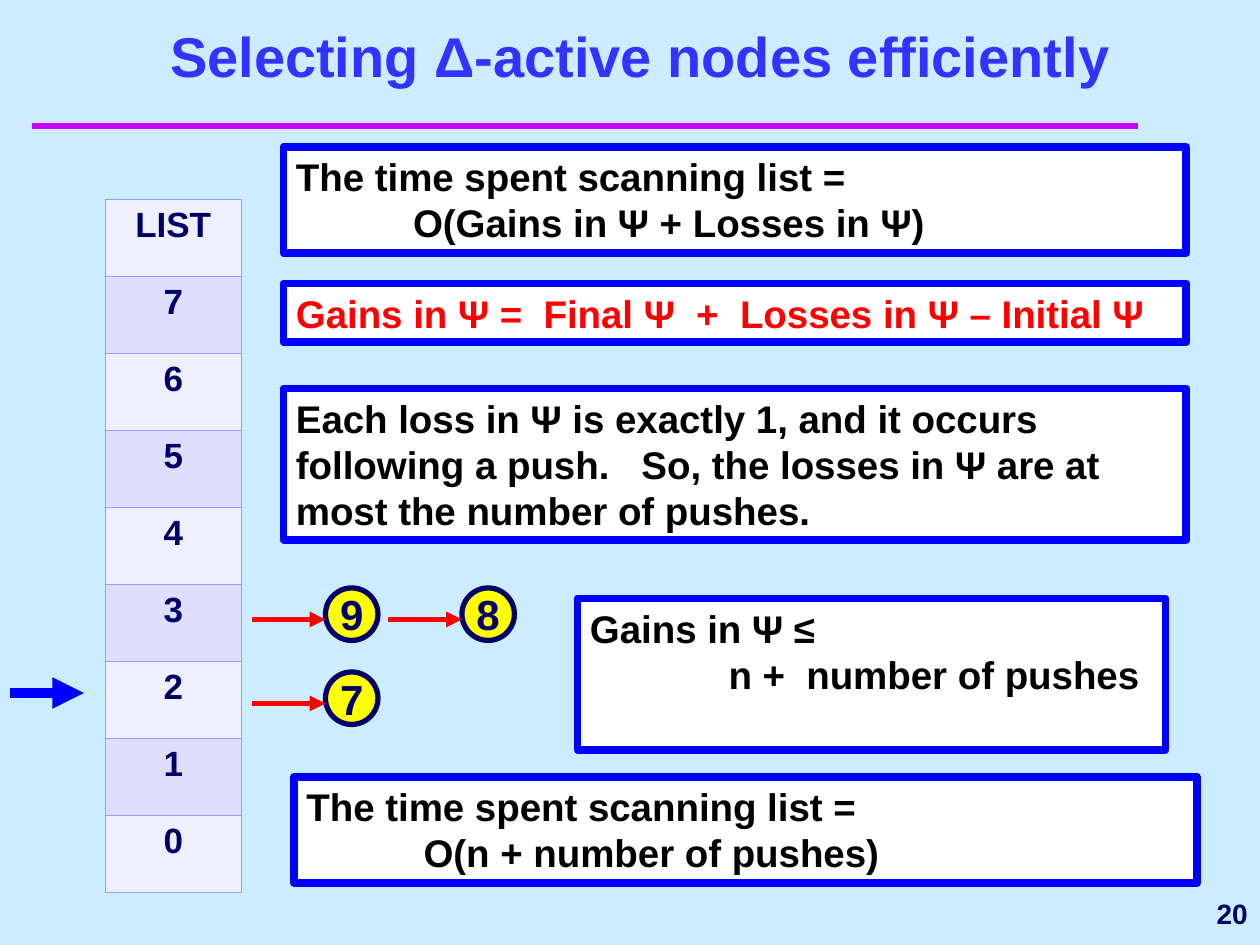
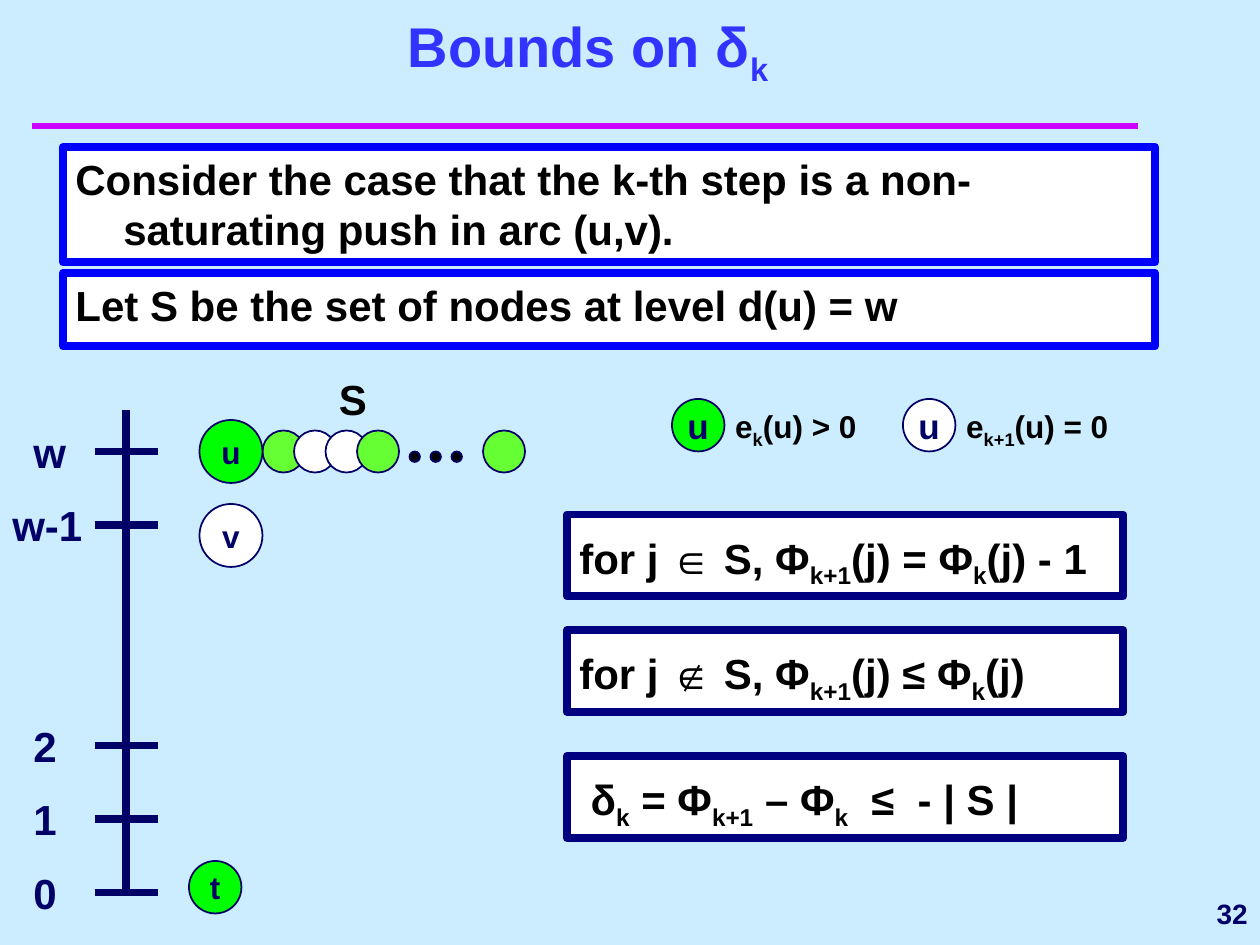
from dataclasses import dataclass
from lxml.etree import SubElement as Sub
from pptx import Presentation
from pptx.dml.color import RGBColor as Rgb
from pptx.enum.shapes import MSO_CONNECTOR as Conn, MSO_SHAPE as Kind
from pptx.enum.text import MSO_ANCHOR as Anchor, PP_ALIGN as Align
from pptx.oxml.ns import qn
from pptx.util import Inches, Pt


@dataclass(frozen=True)
class Theme:
    font: str = "Arial"
    back: str = "CCECFF"
    title: str = "3333FF"
    rule: str = "CC00FF"
    navy: str = "000066"
    deep: str = "000080"
    blue: str = "0000FF"
    red: str = "FF0000"
    black: str = "000000"
    white: str = "FFFFFF"
    yellow: str = "FFFF00"
    green: str = "00FF00"
    lime: str = "66FF33"
    edge: str = "9999FF"
    bands: tuple = ("EFEFFF", "DEDEFF")
    head: int = 32
    big: int = 24
    body: int = 22
    mid: int = 20
    small: int = 18
    foot: int = 16
    frame: float = 4.5


T = Theme()
WIDE, HIGH = 10, 7.5
COLS, ROWS = 120, 90  # square grid cells


def grid(*cells):
    return [Inches(cell * WIDE / COLS) for cell in cells]


def write(frame, text, size=T.big, color=T.black, align=Align.LEFT,
          anchor=Anchor.TOP, wrap=True, pad=0.1, left=0, hang=0, dent=0,
          lead=None, after=0):
    """Fill a text frame; text between underscores is subscript.

    left indents all lines, hang the wrapped ones, dent later paragraphs.
    """
    frame.word_wrap, frame.vertical_anchor = wrap, anchor
    frame.margin_left = frame.margin_right = Inches(pad)
    frame.margin_top = frame.margin_bottom = Inches(pad / 2)
    for i, line in enumerate(text.split("\n")):
        para = frame.add_paragraph() if i else frame.paragraphs[0]
        para.alignment, para.space_after = align, Pt(after)
        para.space_before = Pt(0)
        if lead:
            para.line_spacing = lead
        props = para._p.get_or_add_pPr()
        props.set("marL", str(Inches(left + hang + (dent if i else 0))))
        props.set("indent", str(Inches(-hang)))
        for j, part in enumerate(line.split("_")):
            run = para.add_run()
            run.text = part
            font = run.font
            font.name, font.size, font.bold = T.font, Pt(size), True
            font.color.rgb = Rgb.from_string(color)
            if j % 2:
                font._element.set("baseline", "-25000")


def label(slide, box, text, **style):
    write(slide.shapes.add_textbox(*grid(*box)).text_frame, text, **style)


def shape(slide, kind, box, fill, line, width):
    item = slide.shapes.add_shape(kind, *grid(*box))
    item.shadow.inherit = False
    item.fill.solid()
    item.fill.fore_color.rgb = Rgb.from_string(fill)
    item.line.color.rgb = Rgb.from_string(line)
    item.line.width = Pt(width)
    return item


def card(slide, box, text, line=T.blue, **style):
    item = shape(slide, Kind.RECTANGLE, box, T.white, line, T.frame)
    write(item.text_frame, text, **style)


def node(slide, x, y, size, fill, text="", width=1, point=T.small):
    item = shape(slide, Kind.OVAL, (x, y, size, size), fill, T.navy, width)
    if text:
        write(item.text_frame, text, size=point, color=T.navy, pad=0,
              align=Align.CENTER, anchor=Anchor.MIDDLE, wrap=False)


def stroke(slide, ends, color, width, arrow=False):
    item = slide.shapes.add_connector(Conn.STRAIGHT, *grid(*ends))
    item.line.color.rgb = Rgb.from_string(color)
    item.line.width = Pt(width)
    if arrow:
        Sub(item.line._get_or_add_ln(), qn("a:tailEnd"), type="triangle")
    Sub(item._element.spPr, qn("a:effectLst"))


def base(deck, title, box, number):
    """Start a slide with its background, rule, title and number."""
    slide = deck.slides.add_slide(deck.slide_layouts[6])
    fill = slide.background.fill
    fill.solid()
    fill.fore_color.rgb = Rgb.from_string(T.back)
    stroke(slide, (3, 12, 108.4, 12), T.rule, 4)
    label(slide, box, title, size=T.head, color=T.title,
          align=Align.CENTER, anchor=Anchor.BOTTOM)
    label(slide, (COLS - 12, ROWS - 6, 12, 6), number, size=T.foot,
          color=T.navy, align=Align.RIGHT, anchor=Anchor.MIDDLE)
    return slide


def border(cell):
    props = cell._tc.get_or_add_tcPr()
    for i, side in enumerate(("lnL", "lnR", "lnT", "lnB")):
        line = props.makeelement(qn("a:" + side), {"w": str(Pt(0.45))})
        Sub(Sub(line, qn("a:solidFill")), qn("a:srgbClr"), val=T.edge)
        props.insert(i, line)  # borders come before the fill


def levels(slide, box, names):
    """Draw the level list as a one-column table."""
    table = slide.shapes.add_table(len(names), 1, *grid(*box)).table
    for i, name in enumerate(names):
        cell = table.cell(i, 0)
        cell.fill.solid()
        cell.fill.fore_color.rgb = Rgb.from_string(T.bands[i % 2])
        write(cell.text_frame, name, size=T.mid, color=T.navy,
              align=Align.CENTER)
        border(cell)


def chain(slide, x, y, names):
    """Draw a linked list of nodes, each with its arrow."""
    for i, name in enumerate(names):
        at = x + 13 * i
        node(slide, at + 7, y, 5, T.yellow, name, width=3, point=T.big)
        stroke(slide, (at, y + 3, at + 7, y + 3), T.red, 3, arrow=True)


def claims(slide, x, y):
    """Draw the framed steps of the scanning argument."""
    steps = (
        (0, 0, 86, 10.1, "The time spent scanning list =\n"
         "O(Gains in Ψ + Losses in Ψ)", T.black, 0.93),
        (0, 13, 86, 5.6,
         "Gains in Ψ =  Final Ψ  +  Losses in Ψ – Initial Ψ", T.red, 0),
        (0, 23, 86, 14.4, "Each loss in Ψ is exactly 1, and it occurs "
         "following a push.   So, the losses in Ψ are at most the number "
         "of pushes.", T.black, 0),
        (28, 43, 56, 14.4, "Gains in Ψ ≤\nn +  number of pushes",
         T.black, 1.1),
        (1, 60, 86, 10.1, "The time spent scanning list =\n"
         "O(n + number of pushes)", T.black, 0.93),
    )
    for dx, dy, w, h, text, color, dent in steps:
        card(slide, (x + dx, y + dy, w, h), text, size=T.body,
             color=color, dent=dent)


def axis(slide, x, y):
    """Draw the distance axis with its ticks and labels."""
    stroke(slide, (x, y, x, y + 46), T.navy, T.frame)
    for dy, name in ((4, "w"), (11, "w-1"), (32, "2"), (39, "1"), (46, "0")):
        at = y + dy
        stroke(slide, (x - 3, at, x + 3, at), T.navy, T.frame)
        box = (x - 12, at - 3, 11, 6) if len(name) > 1 else (
            x - 10, at - 3, 5, 6)
        label(slide, box, name, color=T.navy)


def nodes(slide, x, y):
    """Draw the set S beside u, with v below and t at the bottom."""
    for dx, fill in ((6, T.lime), (9, T.white), (12, T.white),
                     (15, T.lime), (27, T.lime)):
        node(slide, x + dx, y + 1, 4, fill)
    for i in range(3):
        node(slide, x + 20 + 2 * i, y + 3, 1, T.black)
    node(slide, x, y, 6, T.green, "u")
    node(slide, x, y + 8, 6, T.white, "v")
    node(slide, x - 1, y + 42, 5, T.green, "t")
    label(slide, (x + 11, y - 5, 8, 6), "S", left=0.09)


def legend(slide, x, y):
    """Explain the two states of u."""
    for dx, fill, text in ((0, T.green, "e_k_(u) > 0"),
                           (22, T.white, "e_k+1_(u) = 0")):
        node(slide, x + dx, y, 5, fill, "u", point=T.mid)
        label(slide, (x + dx + 4, y + 0.2, 22, 5.2), text, size=T.small,
              left=0.07)


def bounds(slide, x, y):
    """Draw the framed formulas."""
    for dy, text, left in (
            (0, "for j ∈ S, Φ_k+1_(j) = Φ_k_(j) - 1", 0),
            (11, "for j ∉ S, Φ_k+1_(j) ≤ Φ_k_(j)", 0),
            (23, "δ_k_ = Φ_k+1_ – Φ_k_  ≤  - | S |", 0.09)):
        card(slide, (x, y + dy, 53, 7.8), text, line=T.deep, left=left,
             lead=1.2, after=4.5)


def scan(deck):
    slide = base(deck, "Selecting Δ-active nodes efficiently",
                 (5, 4, 112, 5), "20")
    levels(slide, (10, 19, 13, 66), ["LIST", *"76543210"])
    chain(slide, 24, 56, "98")
    chain(slide, 24, 64, "7")
    stroke(slide, (1, 66, 8, 66), T.blue, 6, arrow=True)
    claims(slide, 27, 14)


def delta(deck):
    slide = base(deck, "Bounds on δ_k_", (5, 2, 102, 7), "32")
    card(slide, (6, 14, 104, 11), "Consider the case that the k-th step "
         "is a non-saturating push in arc (u,v).", hang=0.38)
    card(slide, (6, 26, 104, 7),
         "Let S be the set of nodes at level d(u) = w", hang=0.38)
    axis(slide, 12, 39)
    nodes(slide, 19, 40)
    legend(slide, 64, 38)
    bounds(slide, 54, 49)


def main():
    deck = Presentation()
    deck.slide_width, deck.slide_height = Inches(WIDE), Inches(HIGH)
    scan(deck)
    delta(deck)
    deck.save("out.pptx")


if __name__ == "__main__":
    main()
